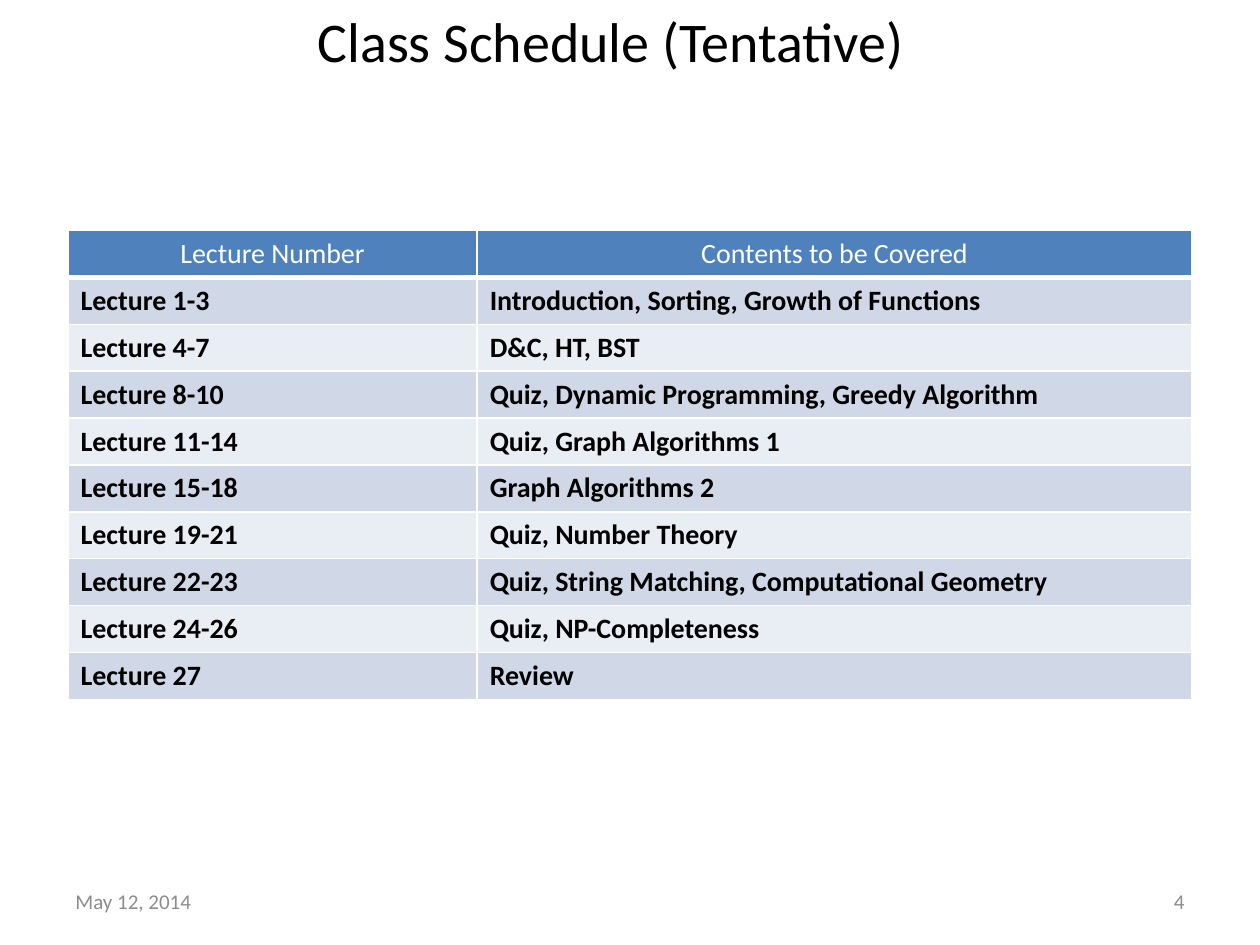
from lxml import etree
from pptx import Presentation
from pptx import util as u
from pptx.dml.color import RGBColor
from pptx.enum import text as t
from pptx.oxml.ns import qn

WIDTH, HEIGHT = u.Inches(10), u.Inches(7.5)
FONT = "Calibri"
WHITE = RGBColor(0xFF, 0xFF, 0xFF)
BLACK = RGBColor(0, 0, 0)
GRAY = RGBColor(0x8C, 0x8C, 0x8C)
HEADER_BLUE = RGBColor(0x4F, 0x81, 0xBD)
BANDS = (RGBColor(0xE9, 0xED, 0xF4), RGBColor(0xD0, 0xD8, 0xE8))

SCHEDULE = [
    ("Lecture Number", "Contents to be Covered"),
    ("Lecture 1-3", "Introduction, Sorting, Growth of Functions"),
    ("Lecture 4-7", "D&C, HT, BST"),
    ("Lecture 8-10", "Quiz, Dynamic Programming, Greedy Algorithm"),
    ("Lecture 11-14", "Quiz, Graph Algorithms 1"),
    ("Lecture 15-18", "Graph Algorithms 2"),
    ("Lecture 19-21", "Quiz, Number Theory"),
    ("Lecture 22-23", "Quiz, String Matching, Computational Geometry"),
    ("Lecture 24-26", "Quiz, NP-Completeness"),
    ("Lecture 27", "Review"),
]
COLUMN_SHARES = (0.364, 0.636)


def region(left, top, width, height):
    """Turn lengths in inches into a slide box."""
    return tuple(u.Inches(length) for length in (left, top, width, height))


def write(frame, words, size=16, color=BLACK, bold=False, align=t.PP_ALIGN.LEFT):
    frame.word_wrap = True
    paragraph = frame.paragraphs[0]
    paragraph.alignment = align
    run = paragraph.add_run()
    run.text = words
    run.font.name, run.font.size = FONT, u.Pt(size)
    run.font.bold, run.font.color.rgb = bold, color


def set_borders(cell, bottom=1):
    """Draw white borders; they must precede the cell's fill in the XML."""
    properties = cell._tc.get_or_add_tcPr()
    sides = {"a:lnL": 1, "a:lnR": 1, "a:lnT": 1, "a:lnB": bottom}
    for position, (side, points) in enumerate(sides.items()):
        line = etree.Element(qn(side), w=str(u.Pt(points)))
        fill = etree.SubElement(line, qn("a:solidFill"))
        etree.SubElement(fill, qn("a:srgbClr"), val=str(WHITE))
        properties.insert(position, line)


def place_title(slide, box):
    title = slide.shapes.title
    title.left, title.top, title.width, title.height = box
    title.text_frame.vertical_anchor = t.MSO_ANCHOR.TOP
    title.text_frame.auto_size = t.MSO_AUTO_SIZE.NONE
    write(title.text_frame, "Class Schedule (Tentative)", size=32)


def place_schedule(slide, box):
    table = slide.shapes.add_table(len(SCHEDULE), len(COLUMN_SHARES), *box).table
    for column, share in zip(table.columns, COLUMN_SHARES):
        column.width = int(box[2] * share)
    for index, entries in enumerate(SCHEDULE):
        header = index == 0
        for column, words in enumerate(entries):
            cell = table.cell(index, column)
            cell.fill.solid()
            cell.fill.fore_color.rgb = HEADER_BLUE if header else BANDS[index % 2]
            set_borders(cell, bottom=3 if header else 1)
            write(cell.text_frame, words, bold=not header,
                  color=WHITE if header else BLACK,
                  align=t.PP_ALIGN.CENTER if header else t.PP_ALIGN.LEFT)


def place_footer(slide, box):
    left, top, width, height = box
    part_width = int(width * 0.26)
    parts = (("May 12, 2014", left, t.PP_ALIGN.LEFT),
             ("4", left + width - part_width, t.PP_ALIGN.RIGHT))
    for words, part_left, align in parts:
        frame = slide.shapes.add_textbox(part_left, top, part_width, height).text_frame
        frame.vertical_anchor = t.MSO_ANCHOR.MIDDLE
        write(frame, words, size=12, color=GRAY, align=align)


def main():
    deck = Presentation()
    deck.slide_width, deck.slide_height = WIDTH, HEIGHT
    slide = deck.slides.add_slide(deck.slide_layouts[5])  # title only
    slide.background.fill.solid()
    slide.background.fill.fore_color.rgb = WHITE
    place_schedule(slide, region(0.54, 1.83, 8.92, 3.7))
    place_title(slide, region(2.42, 0, 5.17, 0.64))
    place_footer(slide, region(0.5, 6.95, 9, 0.4))
    deck.save("out.pptx")


if __name__ == "__main__":
    main()
